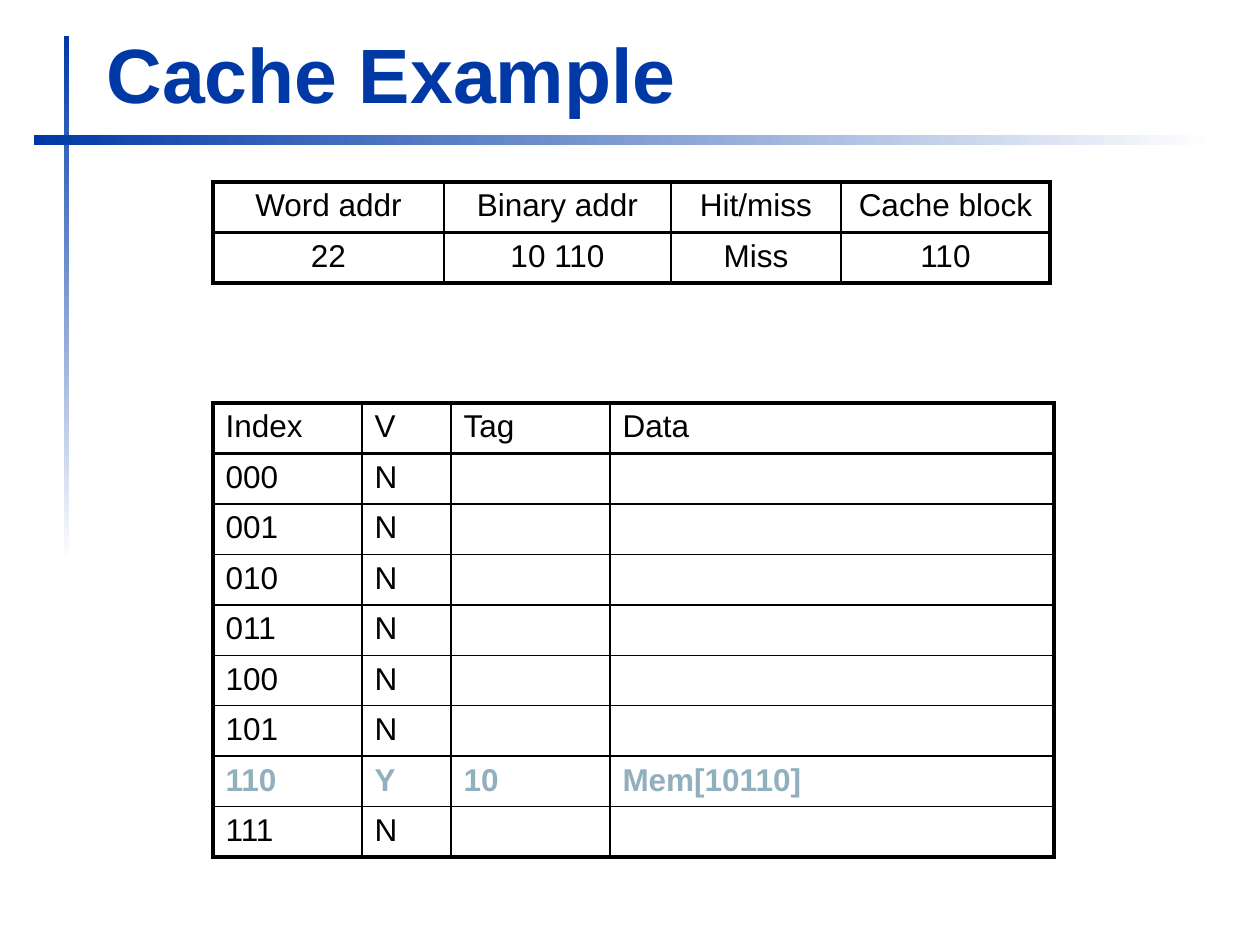
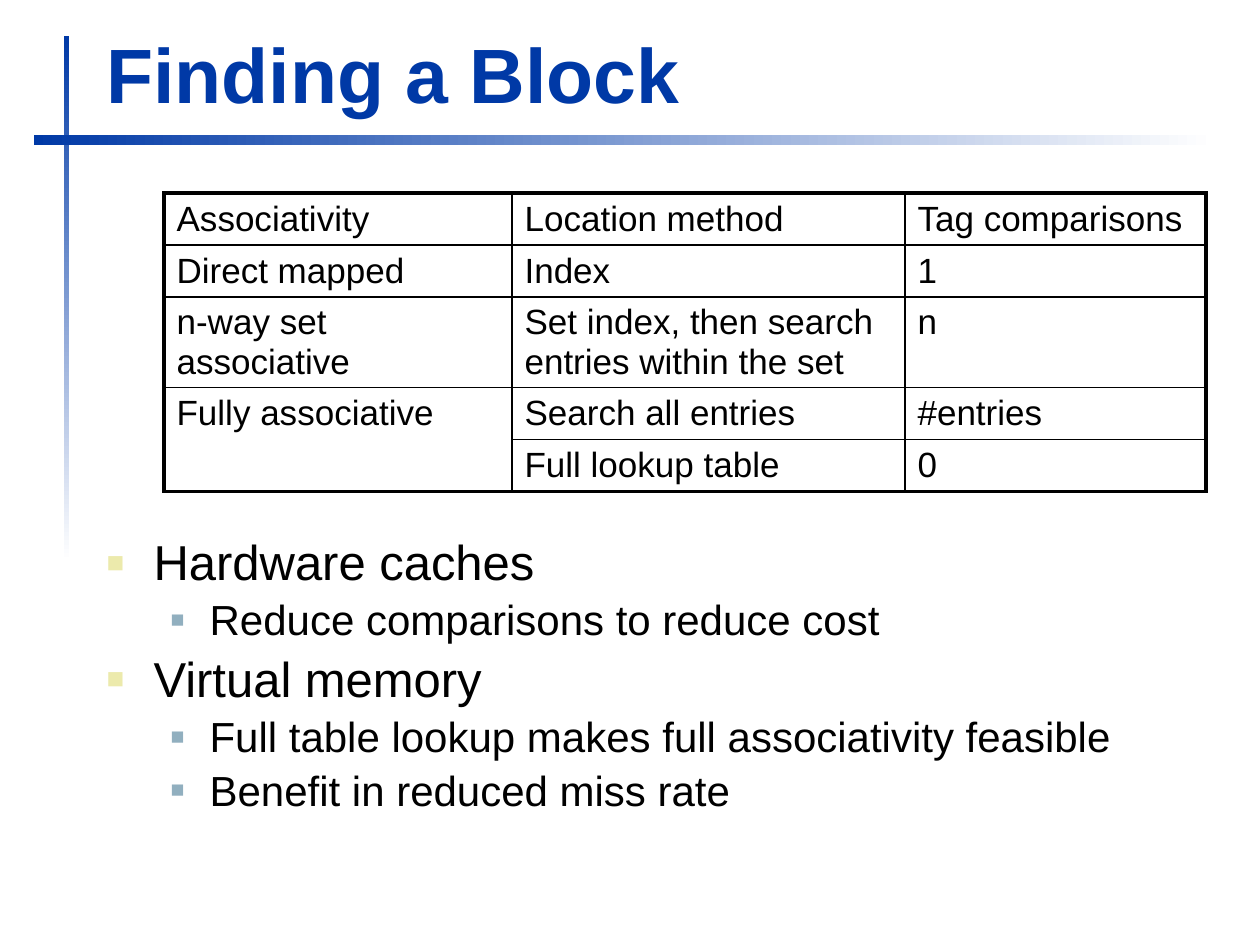
from lxml import etree
from pptx import Presentation
from pptx.dml.color import RGBColor
from pptx.enum.shapes import MSO_SHAPE
from pptx.enum.text import MSO_ANCHOR, MSO_AUTO_SIZE, PP_ALIGN
from pptx.oxml.ns import qn
from pptx.util import Pt

SCALE = 914400 / 126
COLORS = {"blue": "0039A6", "white": "FFFFFF", "black": "000000",
          "steel": "91AFBF", "sand": "ECEAAC"}
FONT = "Arial"
TITLE_BOX = (94, 20, 1138, 105)
BANDS = [((64, 36, 5, 525), 270), ((34, 135, 1181, 10), 0)]
BORDER = {"outer": 2.25, "header": 1.5, "inner": 1}
LEVELS = [
    {"size": 28, "left": 47, "hang": 47, "bullet": "sand", "percent": 60},
    {"size": 24, "left": 103, "hang": 39, "bullet": "steel", "percent": 55},
]


def px(n):
    return int(n * SCALE)


def rgb(name):
    return RGBColor.from_string(COLORS[name])


def place(sp, box):
    for name, value in zip(("left", "top", "width", "height"), box):
        setattr(sp, name, px(value))


def style(r, size, color="black", bold=False):
    formats = {"name": FONT, "size": Pt(size), "bold": bold}
    for name, value in formats.items():
        setattr(r.font, name, value)
    r.font.color.rgb = rgb(color)


def add_run(p, text, size, color="black", bold=False):
    r = p.add_run()
    r.text = text
    style(r, size, color, bold)


def add_child(parent, tag, **attrs):
    child = etree.SubElement(parent, qn(tag))
    for name, value in attrs.items():
        child.set(name, str(value))
    return child


def add_master_bands(prs, s):
    tree = prs.slide_master.shapes.element
    for i, (box, angle) in enumerate(BANDS):
        sp = s.shapes.add_shape(MSO_SHAPE.RECTANGLE, *map(px, box))
        sp.shadow.inherit = False
        sp.line.fill.background()
        sp.fill.gradient()
        sp.fill.gradient_angle = angle
        for stop, color in zip(sp.fill.gradient_stops, ("blue", "white")):
            stop.color.rgb = rgb(color)
        sp.element.nvSpPr.cNvPr.id = 20 + i
        tree.insert(2 + i, sp.element)


def add_titled_slide(prs, layout, title):
    s = prs.slides.add_slide(prs.slide_layouts[layout])
    sp = s.shapes.title
    place(sp, TITLE_BOX)
    tf = sp.text_frame
    formats = {"vertical_anchor": MSO_ANCHOR.BOTTOM, "word_wrap": True,
               "auto_size": MSO_AUTO_SIZE.SHAPE_TO_FIT_TEXT}
    for name, value in formats.items():
        setattr(tf, name, value)
    p = tf.paragraphs[0]
    p.alignment = PP_ALIGN.LEFT
    add_run(p, title, 44, "blue", True)
    return s


def set_borders(cell, widths):
    tcPr = cell._tc.get_or_add_tcPr()
    for i, (side, width) in enumerate(zip("LRTB", widths)):
        ln = etree.Element(qn(f"a:ln{side}"), w=str(int(Pt(width))))
        fill = add_child(ln, "a:solidFill")
        add_child(fill, "a:srgbClr", val=COLORS["black"])
        tcPr.insert(i, ln)


def add_grid(s, left, top, cols, heights, rows, size,
             align=PP_ALIGN.LEFT, highlight=None, merge=None):
    box = (left, top, sum(cols), sum(heights))
    table = s.shapes.add_table(len(rows), len(cols), *map(px, box)).table
    table.first_row = table.horz_banding = False
    for col, width in zip(table.columns, cols):
        col.width = px(width)
    for row, height in zip(table.rows, heights):
        row.height = px(height)
    if merge:
        table.cell(*merge[0]).merge(table.cell(*merge[1]))
    outer, header, inner = BORDER.values()
    for i, texts in enumerate(rows):
        marked = i == highlight
        for j, text in enumerate(texts):
            cell = table.cell(i, j)
            cell.fill.background()
            end = i + (cell.span_height if cell.is_merge_origin else 1)
            set_borders(cell, (
                outer if j == 0 else inner,
                outer if j == len(cols) - 1 else inner,
                outer if i == 0 else header if i == 1 else inner,
                outer if end == len(rows) else header if i == 0 else inner))
            if text:
                p = cell.text_frame.paragraphs[0]
                p.alignment = align
                add_run(p, text, size, "steel" if marked else "black", marked)


def add_bullets(sp, box, items):
    place(sp, box)
    tf = sp.text_frame
    tf.auto_size = MSO_AUTO_SIZE.NONE
    for i, (level, text) in enumerate(items):
        p = tf.add_paragraph() if i else tf.paragraphs[0]
        look = LEVELS[level]
        p.level = level
        p.line_spacing = 0.9
        pPr = p._p.get_or_add_pPr()
        pPr.set("marL", str(px(look["left"])))
        pPr.set("indent", str(-px(look["hang"])))
        color = add_child(pPr, "a:buClr")
        add_child(color, "a:srgbClr", val=COLORS[look["bullet"]])
        add_child(pPr, "a:buSzPct", val=look["percent"] * 1000)
        add_child(pPr, "a:buFont", typeface=FONT)
        add_child(pPr, "a:buChar", char="■")
        add_run(p, text, look["size"])


def build_cache_example(prs):
    s = add_titled_slide(prs, 5, "Cache Example")
    blocks = [[f"{n:03b}", "N", "", ""] for n in range(8)]
    blocks[6] = ["110", "Y", "10", "Mem[10110]"]
    add_grid(s, 213, 403, (149, 89, 159, 444), [48] * 9,
             [["Index", "V", "Tag", "Data"]] + blocks, 18, highlight=7)
    add_grid(s, 213, 182, (231, 227, 170, 209), [48] * 2,
             [["Word addr", "Binary addr", "Hit/miss", "Cache block"],
              ["22", "10 110", "Miss", "110"]], 18, align=PP_ALIGN.CENTER)
    return s


def build_finding_block(prs):
    s = add_titled_slide(prs, 1, "Finding a Block")
    add_bullets(s.placeholders[1], (94, 532, 1140, 328), [
        (0, "Hardware caches"),
        (1, "Reduce comparisons to reduce cost"),
        (0, "Virtual memory"),
        (1, "Full table lookup makes full associativity feasible"),
        (1, "Benefit in reduced miss rate"),
    ])
    add_grid(s, 164, 193, (348, 393, 301), (52, 52, 90, 52, 52), [
        ["Associativity", "Location method", "Tag comparisons"],
        ["Direct mapped", "Index", "1"],
        ["n-way set associative",
         "Set index, then search entries within the set", "n"],
        ["Fully associative", "Search all entries", "#entries"],
        ["", "Full lookup table", "0"],
    ], 20, merge=((3, 0), (4, 0)))


def main():
    prs = Presentation()
    prs.slide_width, prs.slide_height = px(1260), px(945)
    s = build_cache_example(prs)
    add_master_bands(prs, s)
    build_finding_block(prs)
    prs.save("out.pptx")


if __name__ == "__main__":
    main()
